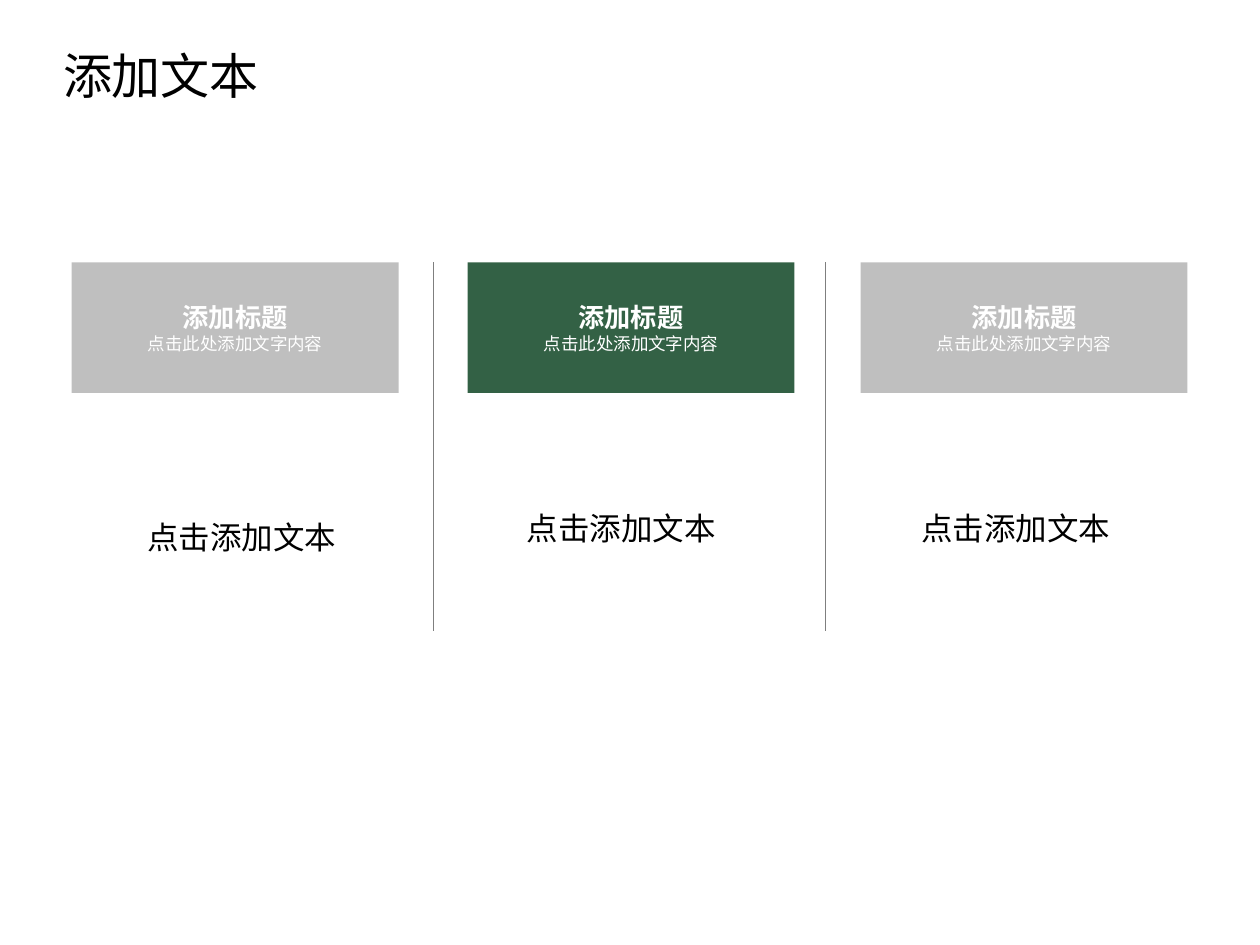
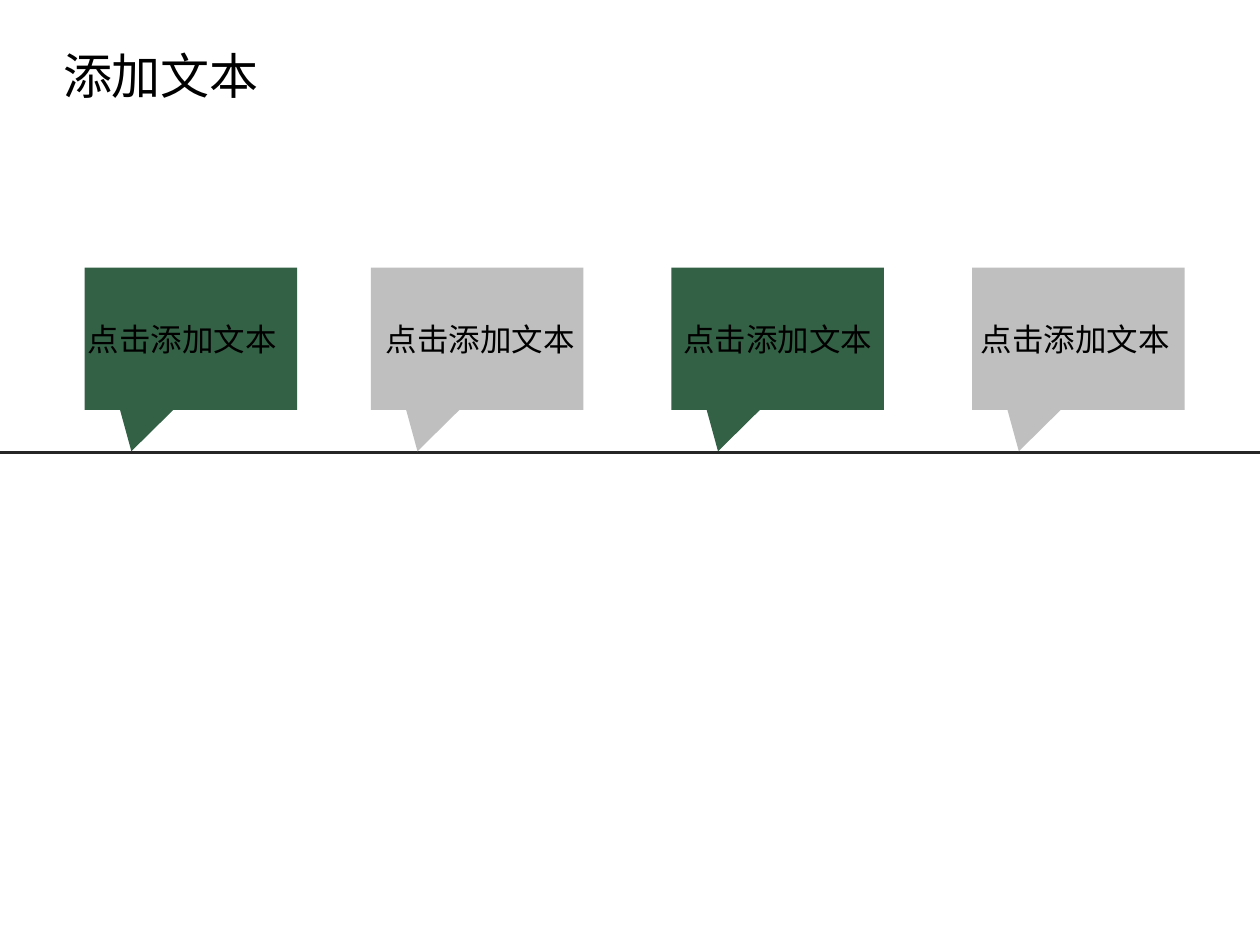
from typing import NamedTuple

from lxml.etree import SubElement
from pptx import Presentation
from pptx.dml.color import RGBColor
from pptx.enum.shapes import MSO_CONNECTOR, MSO_SHAPE
from pptx.enum.text import MSO_ANCHOR, MSO_AUTO_SIZE, PP_ALIGN
from pptx.oxml.ns import qn
from pptx.shapes.autoshape import Shape
from pptx.slide import Slide
from pptx.text.text import TextFrame
from pptx.util import Pt

FONT = "Noto Sans CJK SC"
GREEN, GREY, WHITE, BLACK = "336145", "BFBFBF", "FFFFFF", "000000"
DIVIDER, TIMELINE = "7F7F7F", "262626"
SLIDE_WIDTH, SLIDE_HEIGHT = 720, 540
TITLE_ONLY = 5
PANEL_TOP, PANEL_WIDTH, PANEL_HEIGHT = 150, 186.8, 74.5
DIVIDER_BOTTOM = 360.7
CALLOUT_TOP, CALLOUT_WIDTH, CALLOUT_HEIGHT = 152.9, 121.5, 81.4
CALLOUT_LABEL_LEFT, CALLOUT_LABEL_STEP, CALLOUT_LABEL_TOP = 43.2, 170.1, 179.3
TIMELINE_Y = 258.5


class Box(NamedTuple):
    left: float
    top: float
    width: float
    height: float

    def lengths(self) -> list[Pt]:
        return [Pt(value) for value in self]


class Panel(NamedTuple):
    left: float
    color: str
    label_left: float
    label_top: float


class Callout(NamedTuple):
    left: float
    color: str


TITLE_BOX = Box(28.8, 22.3, 130, 41)
PANELS = [
    Panel(41, GREY, 77, 292.3),
    Panel(267.2, GREEN, 293.8, 287.3),
    Panel(491.8, GREY, 519.3, 287.3),
]
DIVIDERS = [247.8, 471.7]
CALLOUTS = [
    Callout(48.4, GREEN),
    Callout(211.9, GREY),
    Callout(383.6, GREEN),
    Callout(555.5, GREY),
]


def rgb(color: str) -> RGBColor:
    return RGBColor.from_string(color)


def write(frame: TextFrame, text: str, *, size: float, color: str = BLACK,
          bold: bool = False, align: PP_ALIGN = PP_ALIGN.LEFT,
          new_paragraph: bool = False) -> None:
    paragraph = frame.add_paragraph() if new_paragraph else frame.paragraphs[0]
    paragraph.alignment = align
    run = paragraph.add_run()
    run.text = text
    run.font.size = Pt(size)
    run.font.bold = bold
    run.font.color.rgb = rgb(color)
    run.font.name = FONT
    SubElement(run.font._element, qn("a:ea"), typeface=FONT)


def add_title(slide: Slide, text: str) -> None:
    title = slide.shapes.title
    title.left, title.top, title.width, title.height = TITLE_BOX.lengths()
    frame = title.text_frame
    frame.word_wrap = False
    frame.auto_size = MSO_AUTO_SIZE.NONE
    frame.vertical_anchor = MSO_ANCHOR.TOP
    write(frame, text, size=28)


def add_label(slide: Slide, left: float, top: float) -> None:
    label = slide.shapes.add_textbox(*Box(left, top, 122.4, 28.8).lengths())
    label.text_frame.word_wrap = False
    write(label.text_frame, "点击添加文本", size=18)


def add_filled(slide: Slide, kind: MSO_SHAPE, box: Box, color: str) -> Shape:
    shape = slide.shapes.add_shape(kind, *box.lengths())
    shape.shadow.inherit = False
    shape.fill.solid()
    shape.fill.fore_color.rgb = rgb(color)
    shape.line.fill.background()
    return shape


def add_line(slide: Slide, start: tuple[float, float], end: tuple[float, float],
             color: str, width: float) -> None:
    points = [Pt(value) for value in (*start, *end)]
    line = slide.shapes.add_connector(MSO_CONNECTOR.STRAIGHT, *points)
    line.line.color.rgb = rgb(color)
    line.line.width = Pt(width)
    SubElement(line._element.spPr, qn("a:effectLst"))


def add_panel(slide: Slide, panel: Panel) -> None:
    box = Box(panel.left, PANEL_TOP, PANEL_WIDTH, PANEL_HEIGHT)
    frame = add_filled(slide, MSO_SHAPE.RECTANGLE, box, panel.color).text_frame
    frame.word_wrap = True
    frame.vertical_anchor = MSO_ANCHOR.MIDDLE
    write(frame, "添加标题", size=15, color=WHITE, bold=True, align=PP_ALIGN.CENTER)
    write(frame, "点击此处添加文字内容", size=10, color=WHITE,
          align=PP_ALIGN.CENTER, new_paragraph=True)
    add_label(slide, panel.label_left, panel.label_top)


def add_callout(slide: Slide, callout: Callout) -> None:
    box = Box(callout.left, CALLOUT_TOP, CALLOUT_WIDTH, CALLOUT_HEIGHT)
    bubble = add_filled(slide, MSO_SHAPE.RECTANGULAR_CALLOUT, box, callout.color)
    bubble.adjustments[0] = -0.28
    bubble.adjustments[1] = 0.79


def build_panels(slide: Slide) -> None:
    for x in DIVIDERS:
        add_line(slide, (x, PANEL_TOP), (x, DIVIDER_BOTTOM), DIVIDER, 0.25)
    for panel in PANELS:
        add_panel(slide, panel)


def build_timeline(slide: Slide) -> None:
    add_line(slide, (0, TIMELINE_Y), (SLIDE_WIDTH, TIMELINE_Y), TIMELINE, 2)
    for index, callout in enumerate(CALLOUTS):
        add_callout(slide, callout)
        add_label(slide, CALLOUT_LABEL_LEFT + index * CALLOUT_LABEL_STEP, CALLOUT_LABEL_TOP)


def main() -> None:
    deck = Presentation()
    deck.slide_width, deck.slide_height = Pt(SLIDE_WIDTH), Pt(SLIDE_HEIGHT)
    for build in (build_panels, build_timeline):
        slide = deck.slides.add_slide(deck.slide_layouts[TITLE_ONLY])
        add_title(slide, "添加文本")
        build(slide)
    deck.save("out.pptx")


if __name__ == "__main__":
    main()
